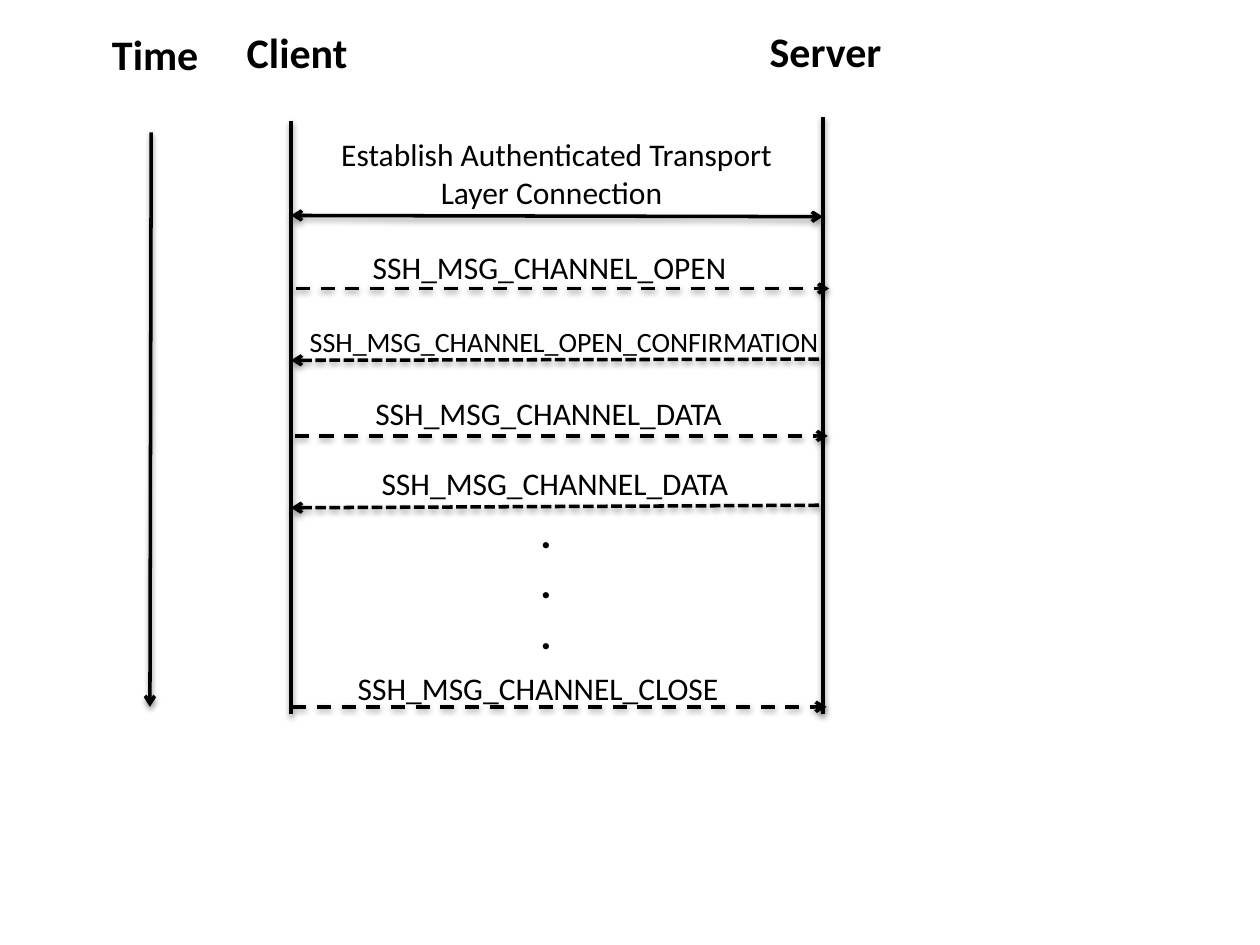
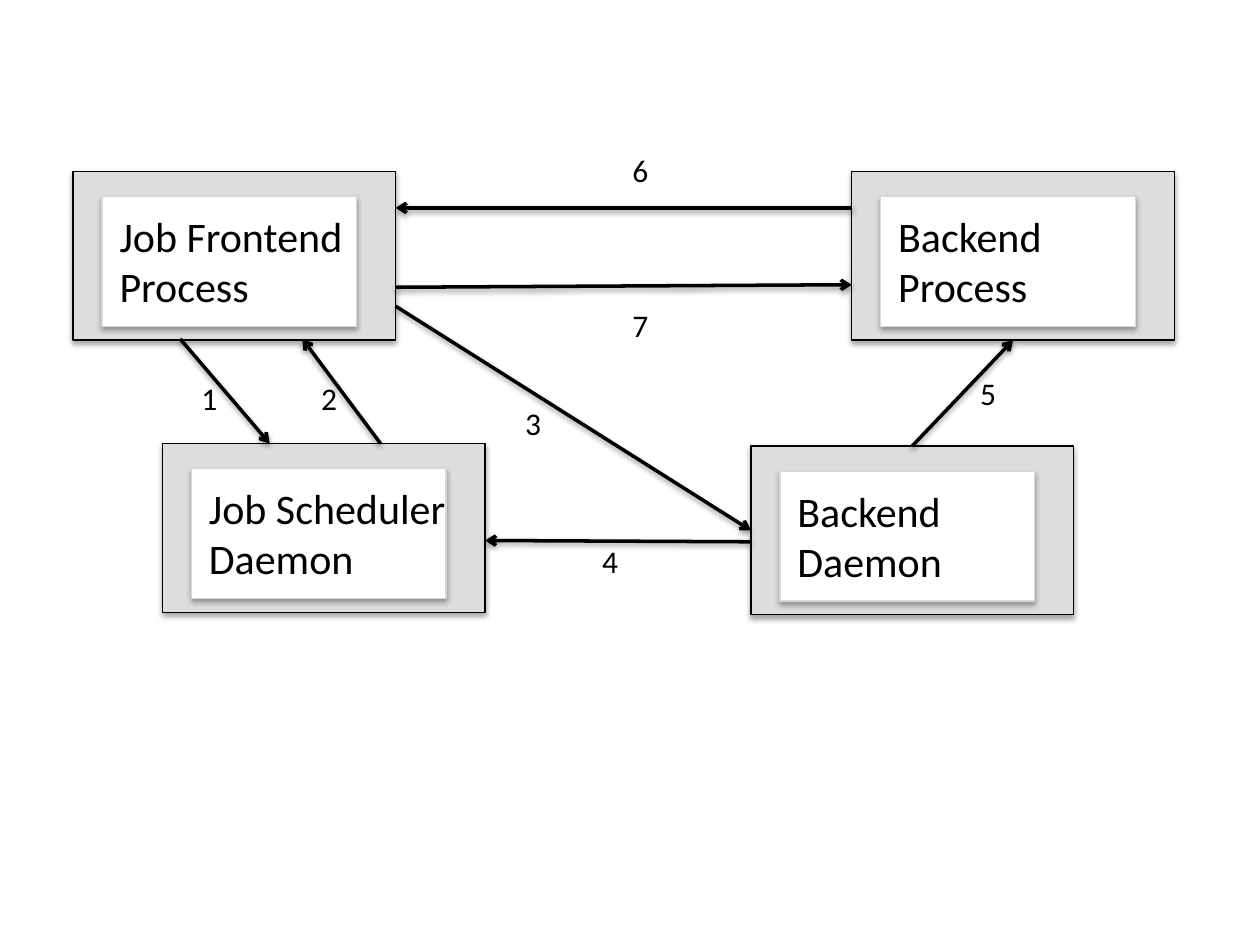
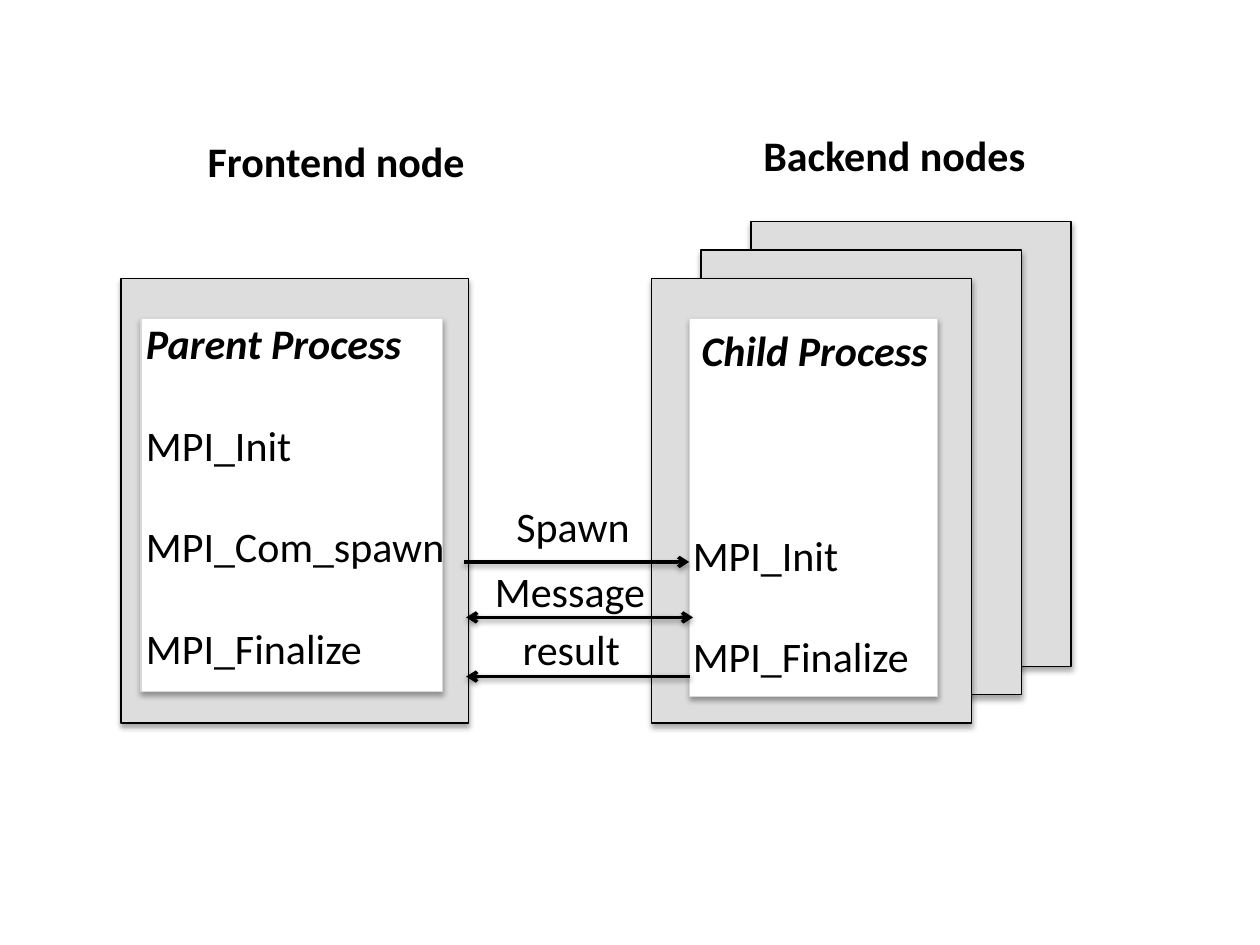
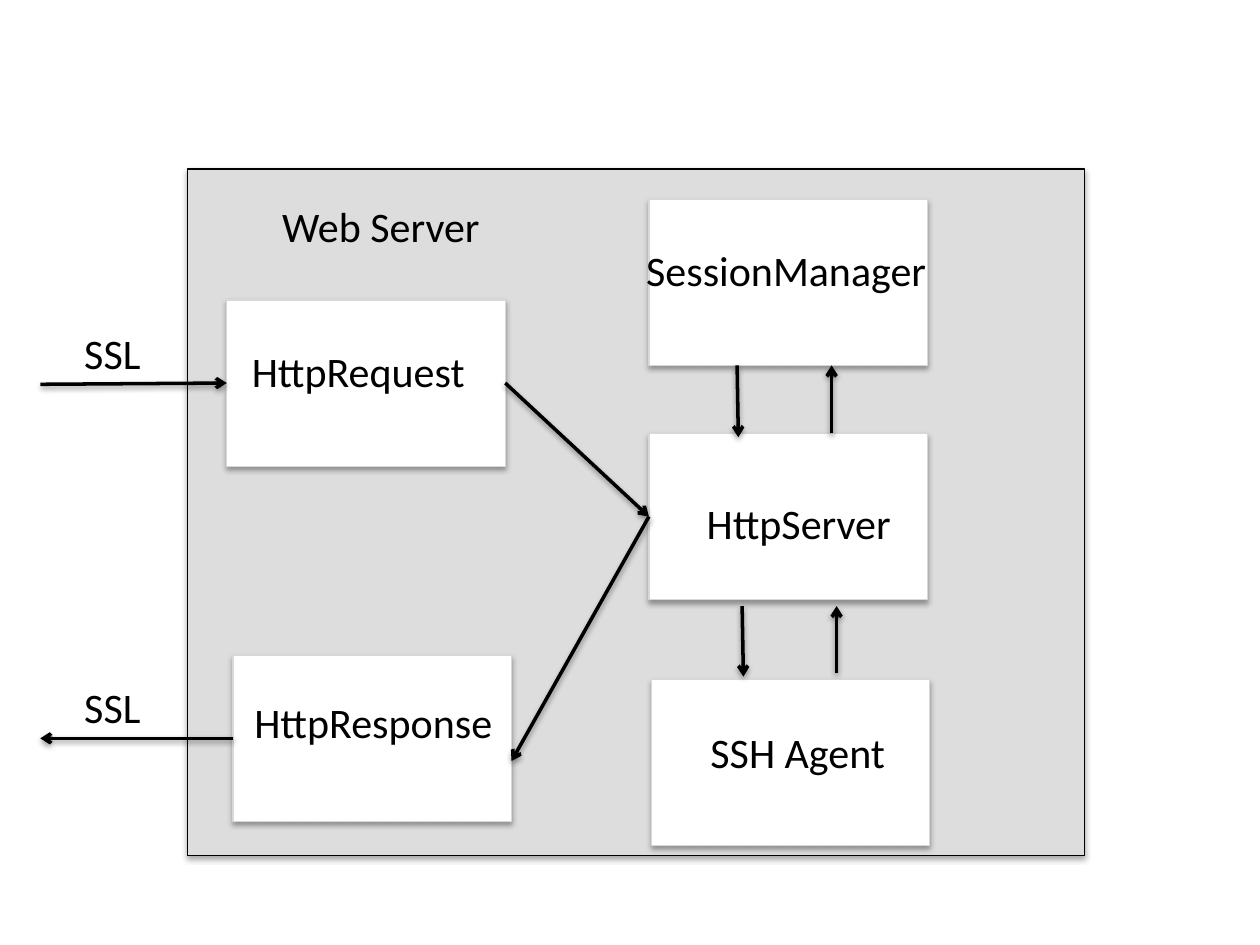
"""Build four diagrams of remote job control: channel, processes, spawning and web server."""
from lxml.etree import SubElement as Sub
from pptx import Presentation
from pptx.dml.color import RGBColor as Rgb
from pptx.enum.dml import MSO_LINE as Dash
from pptx.enum.shapes import MSO_CONNECTOR as Link, MSO_SHAPE as Form
from pptx.enum.text import MSO_AUTO_SIZE as Fit
from pptx.oxml.ns import qn
from pptx.util import Inches, Pt

INK = {"text": "000000", "gray": "DDDDDD", "white": "FFFFFF", "edge": "D8D8D8"}
FONT = "Calibri"
ROW = 29.3
TOP, LEFT, BOTTOM, RIGHT = range(4)

HEADS = [("Time", 0.79, 0.18), ("Client", 1.86, 0.16), ("Server", 6.01, 0.15)]
CALLS = [
    ("SSH_MSG_CHANNEL_OPEN", 2.86, 1.92, 18),
    ("SSH_MSG_CHANNEL_OPEN_CONFIRMATION", 2.36, 2.53, 16),
    ("SSH_MSG_CHANNEL_DATA", 2.88, 3.08, 18),
    ("SSH_MSG_CHANNEL_DATA", 2.93, 3.63, 18),
    ("SSH_MSG_CHANNEL_CLOSE", 2.74, 5.26, 18),
]
SETUP = ["Establish Authenticated Transport", ("Layer Connection", {"indent": 0.79})]
LIVES = [((2.31, 0.96), (2.31, 5.67)), ((6.53, 0.93), (6.53, 5.67))]
SENDS = [((2.35, 2.29), (6.58, 2.29)), ((2.34, 3.46), (6.57, 3.46)),
         ((2.32, 5.61), (6.56, 5.61))]
REPLIES = [((6.5, 2.85), (2.31, 2.86)), ((6.5, 4.01), (2.31, 4.03))]

NODES = {
    "front": (0.58, 1.36, ["Job Frontend", "Process"]),
    "plan": (1.29, 3.52, ["Job Scheduler", "Daemon"]),
    "daemon": (5.96, 3.54, ["Backend", "Daemon"]),
    "back": (6.76, 1.36, ["Backend", "Process"]),
}
STEPS = [
    ((1.43, 2.69), (2.14, 3.52), (1.5, 2.96)),
    ((3.02, 3.52), (2.4, 2.69), (2.45, 2.96)),
    ((3.14, 2.43), ("daemon", LEFT), (4.07, 3.16)),
    ((5.96, 4.3), (3.85, 4.29), (4.68, 4.25)),
    (("daemon", TOP), ("back", BOTTOM), (7.68, 2.92)),
    ((6.76, 1.65), (3.14, 1.65), (4.92, 1.15)),
    ((3.14, 2.28), (6.76, 2.26), (4.92, 2.38)),
]

TITLES = [("Frontend node", 1.55, 1.03), ("Backend nodes", 5.96, 0.98)]
NAME = {"bold": True, "italic": True}
PARENT = [("Parent Process", NAME), ("MPI_Init", {"before": ROW}),
          ("MPI_Com_spawn", {"before": ROW}), ("MPI_Finalize", {"before": ROW})]
CHILD = [("Child Process", {**NAME, "indent": 0.14}),
         ("MPI_Init", {"before": 3 * ROW, "indent": 0.07}),
         ("MPI_Finalize", {"before": ROW, "indent": 0.07})]
TALKS = [
    ("Spawn", 4, 3.92, (3.68, 4.46), (5.47, 4.46), False),
    ("Message", 3.83, 4.44, (3.7, 4.9), (5.5, 4.9), True),
    ("result", 4.05, 4.9, (5.48, 5.37), (3.7, 5.37), False),
]

PARTS = {
    "request": (1.8, 2.38, "HttpRequest", 1.9, 2.69, 0),
    "reply": (1.85, 5.2, "HttpResponse", 1.85, 5.48, 0.07),
    "session": (5.15, 1.58, "SessionManager", 5.03, 1.89, 0),
    "server": (5.15, 3.44, "HttpServer", 5.01, 3.9, 0.5),
    "agent": (5.17, 5.39, "SSH Agent", 5.04, 5.72, 0.5),
}
LABELS = [("Web Server", 2.14, 1.54), ("SSL", 0.57, 2.55), ("SSL", 0.57, 5.36)]
FLOWS = [
    ((0.32, 3.05), ("request", LEFT)),
    (("reply", LEFT), (0.32, 5.86)),
    (("request", RIGHT), ("server", LEFT)),
    (("server", LEFT), (4.06, 6.04)),
    ((5.85, 2.9), (5.86, 3.47)),
    ((6.6, 3.44), (6.6, 2.9)),
    ((5.89, 4.81), (5.9, 5.37)),
    ((6.64, 5.34), (6.64, 4.81)),
]


def tint(name):
    return Rgb.from_string(INK[name])


def shade(item, dist, alpha):
    effects = Sub(item._element.spPr, qn("a:effectLst"))
    drop = Sub(effects, qn("a:outerShdw"), blurRad="40000", dist=str(dist),
               dir="5400000", rotWithShape="0")
    color = Sub(drop, qn("a:srgbClr"), val=INK["text"])
    Sub(color, qn("a:alpha"), val=str(alpha * 1000))


def write(slide, x, y, w, h, lines, size=24, bold=False):
    box = slide.shapes.add_textbox(*map(Inches, (x, y, w, h)))
    frame = box.text_frame
    frame.word_wrap = True
    frame.auto_size = Fit.SHAPE_TO_FIT_TEXT
    for i, line in enumerate(lines):
        words, look = (line, {}) if isinstance(line, str) else line
        para = frame.paragraphs[0] if i == 0 else frame.add_paragraph()
        if look.get("indent"):
            para._p.get_or_add_pPr().set("marL", str(Inches(look["indent"])))
        if "before" in look:
            para.space_before = Pt(look["before"])
        run = para.add_run()
        run.text = words
        font = run.font
        font.name, font.size = FONT, Pt(size)
        font.bold = look.get("bold", bold)
        font.italic = look.get("italic", False)
        font.color.rgb = tint("text")


def block(slide, x, y, w, h, fill="white", edge="edge"):
    rect = slide.shapes.add_shape(Form.RECTANGLE, *map(Inches, (x, y, w, h)))
    rect.fill.solid()
    rect.fill.fore_color.rgb = tint(fill)
    rect.line.color.rgb = tint(edge)
    rect.line.width = Pt(0.75)
    shade(rect, 23000, 35)
    return rect


def panel(slide, x, y, w, h):
    return block(slide, x, y, w, h, "gray", "text")


def draw(slide, start, end, tips=("tailEnd",), dash=None, rects=None):
    glued = [isinstance(spot[0], str) for spot in (start, end)]
    spots = [(0, 0) if stuck else spot for stuck, spot in zip(glued, (start, end))]
    wire = slide.shapes.add_connector(
        Link.STRAIGHT, *(Inches(n) for spot in spots for n in spot))
    if glued[0]:
        wire.begin_connect(rects[start[0]], start[1])
    if glued[1]:
        wire.end_connect(rects[end[0]], end[1])
    wire.line.color.rgb = tint("text")
    wire.line.width = Pt(2)
    if dash:
        wire.line.dash_style = dash
    stroke = wire._element.spPr.find(qn("a:ln"))
    for tip in tips:
        Sub(stroke, qn("a:" + tip), type="arrow")
    shade(wire, 20000, 38)


BOTH = ("headEnd", "tailEnd")


def channel(slide):
    for words, x, y in HEADS:
        write(slide, x, y, 3.18, 0.5, [words], bold=True)
    for words, x, y, size in CALLS:
        write(slide, x, y, 4.32, 0.4, [words], size)
    write(slide, 2.61, 1.02, 5.96, 0.71, SETUP, 18)
    write(slide, 4.19, 3.97, 0.54, 2.12, ["."] * 3, bold=True)
    for start, end in LIVES:
        draw(slide, start, end, ())
    draw(slide, (1.2, 1.05), (1.19, 5.61))
    draw(slide, (2.31, 1.71), (6.53, 1.72), BOTH)
    for start, end in SENDS:
        draw(slide, start, end, dash=Dash.DASH)
    for start, end in REPLIES:
        draw(slide, start, end, dash=Dash.SQUARE_DOT)


def process(slide):
    rects = {}
    for key, (x, y, lines) in NODES.items():
        rects[key] = panel(slide, x, y, 2.56, 1.34)
        block(slide, x + 0.23, y + 0.2, 2.02, 1.03)
        write(slide, x + 0.27, y + 0.26, 2.29, 1.31, lines)
    for i, (start, end, (x, y)) in enumerate(STEPS, 1):
        draw(slide, start, end, rects=rects)
        write(slide, x, y, 0.47, 0.4, [str(i)], 18)


def spawn(slide):
    for words, x, y in TITLES:
        write(slide, x, y, 2.82, 0.5, [words], bold=True)
    panel(slide, 0.96, 2.21, 2.76, 3.53)
    for i in range(3):
        panel(slide, 5.96 - 0.395 * i, 1.76 + 0.225 * i, 2.54, 3.53)
    block(slide, 5.47, 2.53, 1.97, 3)
    write(slide, 5.33, 2.53, 2.21, 2.93, CHILD)
    block(slide, 1.12, 2.53, 2.39, 2.96)
    write(slide, 1.06, 2.47, 2.59, 3.74, PARENT)
    for words, x, y, start, end, both in TALKS:
        draw(slide, start, end, BOTH if both else BOTH[1:])
        write(slide, x, y, 2.89, 0.91, [words])


def web(slide):
    panel(slide, 1.49, 1.34, 7.12, 5.45)
    rects = {}
    for key, (x, y, words, left, top, indent) in PARTS.items():
        rects[key] = block(slide, x, y, 2.21, 1.32)
        write(slide, left, top, 2.78, 0.5, [(words, {"indent": indent})])
    for words, x, y in LABELS:
        write(slide, x, y, 2.78, 0.91, [words])
    for start, end in FLOWS:
        draw(slide, start, end, rects=rects)


def main():
    deck = Presentation()
    deck.slide_width, deck.slide_height = Inches(10), Inches(7.5)
    for build in (channel, process, spawn, web):
        build(deck.slides.add_slide(deck.slide_layouts[6]))
    deck.save("out.pptx")


if __name__ == "__main__":
    main()
